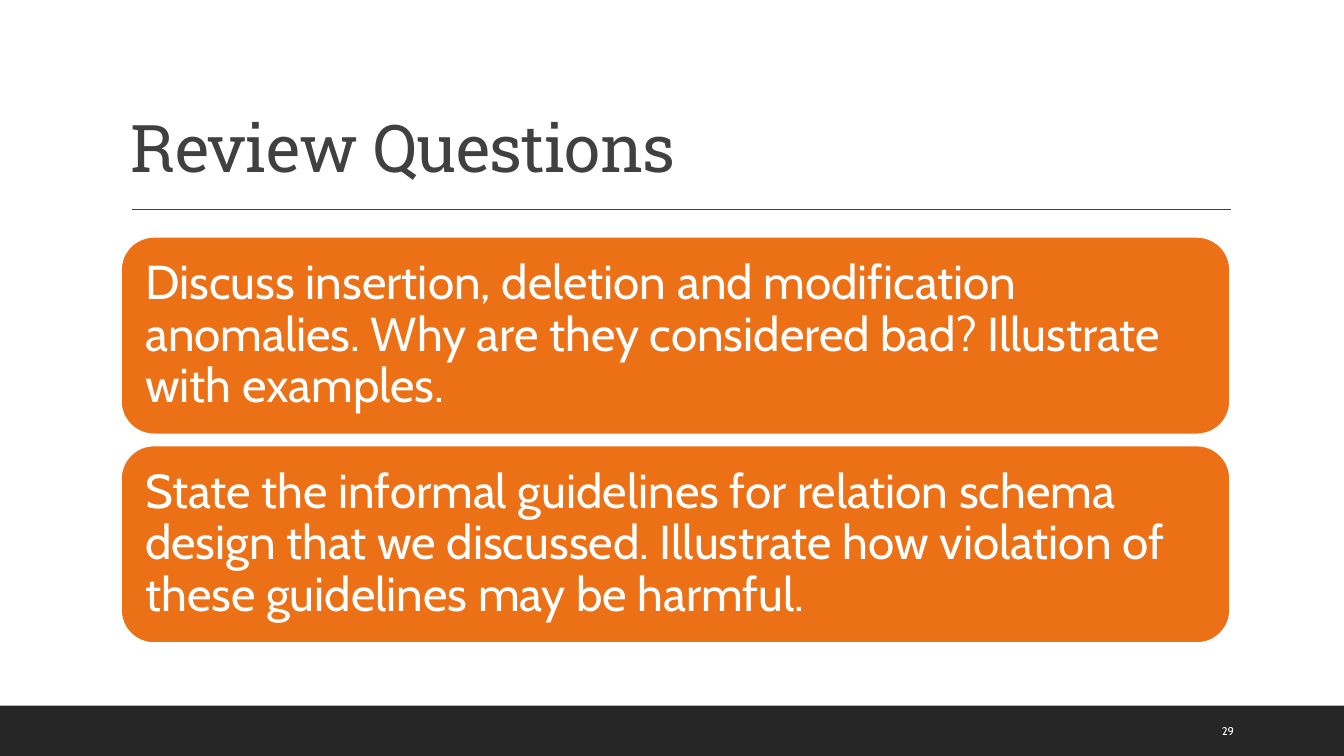
from pptx import Presentation
from pptx import util as u
from pptx.dml.color import RGBColor
from pptx.enum import shapes, text
from pptx.oxml import ns
from lxml import etree

COLORS = {"dark": "262626", "grey": "404040", "orange": "EC7016", "white": "FFFFFF"}
QUESTIONS = [
    "Discuss insertion, deletion and modification anomalies. "
    "Why are they considered bad? Illustrate with examples.",
    "State the informal guidelines for relation schema design that we discussed. "
    "Illustrate how violation of these guidelines may be harmful.",
]
TITLE = {"name": "Roboto Slab", "size": u.Pt(47)}
QUESTION = {"name": "Cabin", "size": u.Pt(34)}
NUMBER = {"name": "Cabin", "size": u.Pt(8)}


def color(key):
    return RGBColor.from_string(COLORS[key])


def write(holder, words, font_format, ink, anchor, inset=(0.1, 0.05), spacing=1.0):
    frame = holder.text_frame
    across, down = (u.Inches(side) for side in inset)
    settings = {"word_wrap": True, "vertical_anchor": anchor,
                "margin_left": across, "margin_right": across,
                "margin_top": down, "margin_bottom": down}
    for key, value in settings.items():
        setattr(frame, key, value)
    paragraph = frame.paragraphs[0]
    paragraph.alignment = text.PP_ALIGN.LEFT
    paragraph.line_spacing = spacing
    run = paragraph.add_run()
    run.text = words
    for key, value in font_format.items():
        setattr(run.font, key, value)
    run.font.color.rgb = color(ink)
    return run


def add_panel(slide, kind, box, fill):
    panel = slide.shapes.add_shape(kind, *map(u.Inches, box))
    panel.shadow.inherit = False
    panel.fill.solid()
    panel.fill.fore_color.rgb = color(fill)
    panel.line.fill.background()
    return panel


def add_heading(slide, left, top, width, height):
    # Title sitting on the bottom of its box
    title = slide.shapes.add_textbox(*map(u.Inches, (left, top, width, height)))
    run = write(title, "Review Questions", TITLE, "grey",
                text.MSO_ANCHOR.BOTTOM, spacing=0.9)
    run.font._element.set("spc", "-50")

    # Rule below the title
    rule_y = u.Inches(top + height + 0.18)
    rule = slide.shapes.add_connector(
        shapes.MSO_CONNECTOR.STRAIGHT,
        u.Inches(left + 0.11), rule_y, u.Inches(left + width + 0.01), rule_y)
    rule.line.color.rgb = color("grey")
    rule.line.width = u.Pt(1)
    etree.SubElement(rule._element.spPr, ns.qn("a:effectLst"))


def add_questions(slide, left, top, width, height, gap=0.11):
    card_height = (height - gap * (len(QUESTIONS) - 1)) / len(QUESTIONS)
    for index, question in enumerate(QUESTIONS):
        card_top = top + index * (card_height + gap)
        card = add_panel(slide, shapes.MSO_SHAPE.ROUNDED_RECTANGLE,
                         (left, card_top, width, card_height), "orange")
        card.line.color.rgb = color("white")
        card.line.width = u.Pt(1.25)
        # Corner insets of the rounded card add to these margins
        corner = 0.29 * card.adjustments[0] * card_height
        write(card, question, QUESTION, "white", text.MSO_ANCHOR.MIDDLE,
              inset=(0.24 - corner, 0.1), spacing=0.9)


def add_footer(slide, left, top, width, height):
    add_panel(slide, shapes.MSO_SHAPE.RECTANGLE, (left, top, width, height), "dark")
    number = slide.shapes.add_textbox(
        *map(u.Inches, (left + 12.02, top + 0.05, 0.85, 0.4)))
    write(number, "29", NUMBER, "white", text.MSO_ANCHOR.MIDDLE)


def main():
    deck = Presentation()
    deck.slide_width, deck.slide_height = u.Inches(13.33), u.Inches(7.5)
    slide = deck.slides.add_slide(deck.slide_layouts[6])
    add_footer(slide, 0, 7, 13.33, 0.5)
    add_heading(slide, 1.2, 0.31, 11, 1.59)
    add_questions(slide, 1.2, 2.35, 11, 4.03)
    deck.save("out.pptx")


if __name__ == "__main__":
    main()
